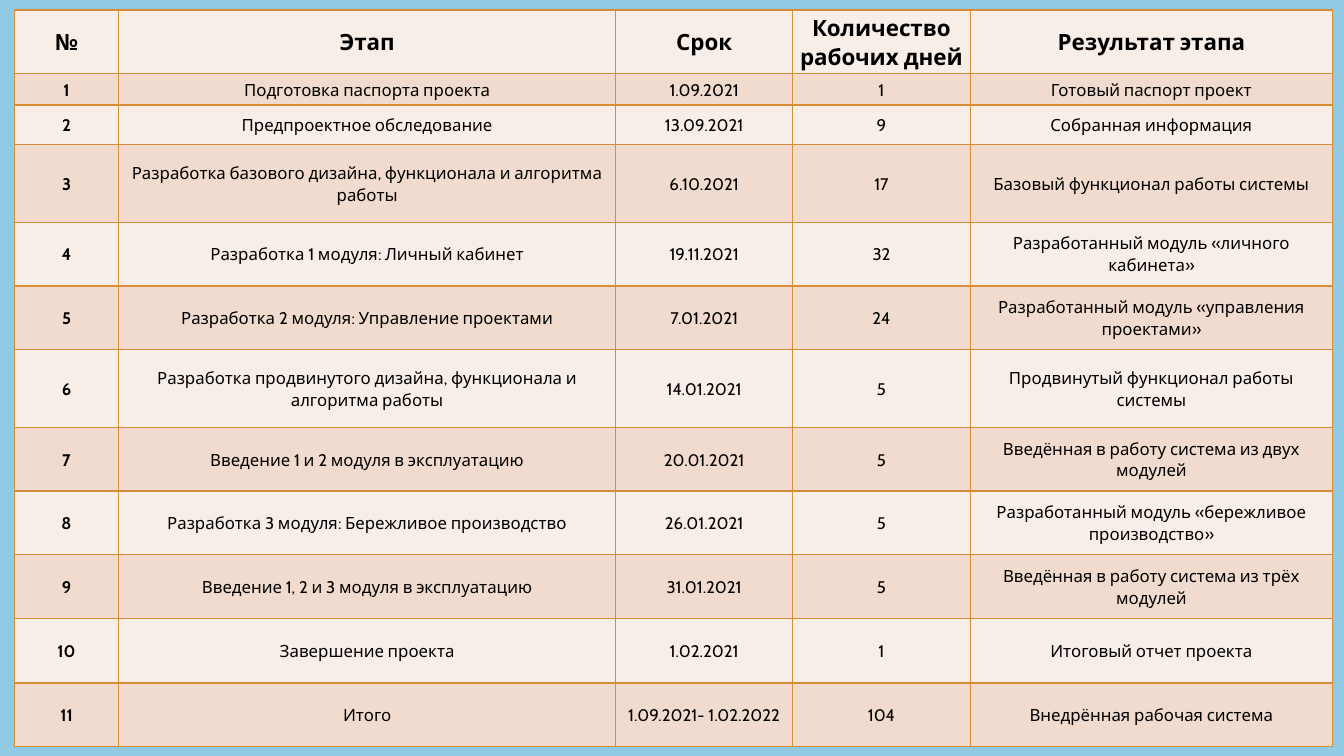
import dataclasses

import lxml.etree
import pptx
import pptx.dml.color
import pptx.enum.text
import pptx.oxml.ns
import pptx.util

Inches = pptx.util.Inches
Pt = pptx.util.Pt


@dataclasses.dataclass(frozen=True)
class Theme:
    font: str = "Cabin"
    background: str = "91CBE3"
    ink: str = "000000"
    border: str = "D78D38"
    light_row: str = "F8EEE8"
    dark_row: str = "F0DBCE"
    header_size: int = 16
    body_size: int = 12
    border_width: int = 1
    line_spacing: float = 1.07


THEME = Theme()

COLUMN_WIDTHS = [1.04, 4.93, 1.76, 1.76, 3.6]
ROW_HEIGHTS = [0.63, 0.31, 0.39, 0.77, 0.63, 0.63, 0.77, 0.63, 0.63, 0.63, 0.64, 0.63]

HEADER = ("№", "Этап", "Срок", "Количество рабочих дней", "Результат этапа")
STAGES = [
    ("Подготовка паспорта проекта", "1.09.2021", 1, "Готовый паспорт проект"),
    ("Предпроектное обследование", "13.09.2021", 9, "Собранная информация"),
    ("Разработка базового дизайна, функционала и алгоритма работы", "6.10.2021", 17,
     "Базовый функционал работы системы"),
    ("Разработка 1 модуля: Личный кабинет", "19.11.2021", 32,
     "Разработанный модуль «личного кабинета»"),
    ("Разработка 2 модуля: Управление проектами", "7.01.2021", 24,
     "Разработанный модуль «управления проектами»"),
    ("Разработка продвинутого дизайна, функционала и алгоритма работы", "14.01.2021", 5,
     "Продвинутый функционал работы системы"),
    ("Введение 1 и 2 модуля в эксплуатацию", "20.01.2021", 5,
     "Введённая в работу система из двух модулей"),
    ("Разработка 3 модуля: Бережливое производство", "26.01.2021", 5,
     "Разработанный модуль «бережливое производство»"),
    ("Введение 1, 2 и 3 модуля в эксплуатацию", "31.01.2021", 5,
     "Введённая в работу система из трёх модулей"),
    ("Завершение проекта", "1.02.2021", 1, "Итоговый отчет проекта"),
    ("Итого", "1.09.2021- 1.02.2022", 104, "Внедрённая рабочая система"),
]


def rgb(code):
    return pptx.dml.color.RGBColor.from_string(code)


def write_text(frame, text, size=THEME.body_size, bold=False, color=THEME.ink):
    paragraph = frame.paragraphs[0]
    paragraph.alignment = pptx.enum.text.PP_ALIGN.CENTER
    paragraph.line_spacing = THEME.line_spacing
    run = paragraph.add_run()
    run.text = text
    run.font.name = THEME.font
    run.font.size = Pt(size)
    run.font.bold = bold
    run.font.color.rgb = rgb(color)


def style_cell(cell, fill):
    cell.vertical_anchor = pptx.enum.text.MSO_ANCHOR.MIDDLE
    cell.margin_left = cell.margin_right = Inches(0.07)
    cell.margin_top = cell.margin_bottom = 0
    # Borders come before the fill in the cell properties
    properties = cell._tc.get_or_add_tcPr()
    qn = pptx.oxml.ns.qn
    for side in ("a:lnL", "a:lnR", "a:lnT", "a:lnB"):
        line = lxml.etree.SubElement(properties, qn(side), w=str(Pt(THEME.border_width)))
        solid = lxml.etree.SubElement(line, qn("a:solidFill"))
        lxml.etree.SubElement(solid, qn("a:srgbClr"), val=THEME.border)
    cell.fill.solid()
    cell.fill.fore_color.rgb = rgb(fill)


def add_schedule(slide, left, top, width, height):
    rows = [HEADER] + [(number, *stage) for number, stage in enumerate(STAGES, 1)]
    schedule = slide.shapes.add_table(
        len(rows), len(HEADER), Inches(left), Inches(top), Inches(width), Inches(height)
    ).table

    # Columns and rows share out the box
    for column, share in zip(schedule.columns, COLUMN_WIDTHS):
        column.width = Inches(width * share / sum(COLUMN_WIDTHS))
    for row, share in zip(schedule.rows, ROW_HEIGHTS):
        row.height = Inches(height * share / sum(ROW_HEIGHTS))

    # Header and stages, with alternating fills
    for r, values in enumerate(rows):
        for c, value in enumerate(values):
            cell = schedule.cell(r, c)
            style_cell(cell, THEME.dark_row if r % 2 else THEME.light_row)
            write_text(
                cell.text_frame, str(value), bold=r == 0 or c == 0,
                size=THEME.body_size if r else THEME.header_size,
            )


def main():
    deck = pptx.Presentation()
    deck.slide_width = Inches(13.33)
    deck.slide_height = Inches(7.5)
    slide = deck.slides.add_slide(deck.slide_layouts[6])
    slide.background.fill.solid()
    slide.background.fill.fore_color.rgb = rgb(THEME.background)
    add_schedule(slide, 0.14, 0.1, 13.08, 7.31)
    deck.save("out.pptx")


if __name__ == "__main__":
    main()
